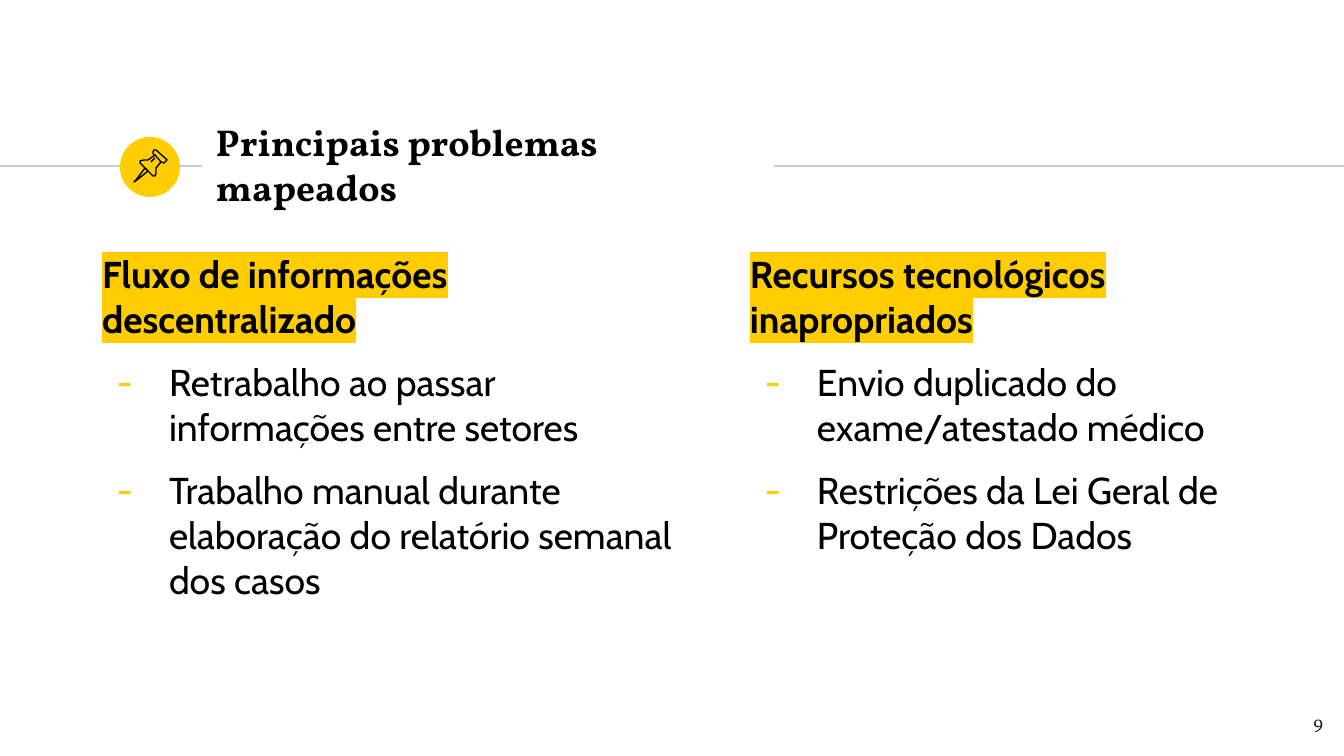
from lxml import etree
from pptx import Presentation
from pptx.dml.color import RGBColor
from pptx.enum.shapes import MSO_CONNECTOR, MSO_SHAPE
from pptx.enum.text import MSO_ANCHOR, MSO_AUTO_SIZE, PP_ALIGN
from pptx.oxml.ns import qn
from pptx.util import Emu, Pt

LINE, OVAL = MSO_CONNECTOR.STRAIGHT, MSO_SHAPE.OVAL
TOP, MID = MSO_ANCHOR.TOP, MSO_ANCHOR.MIDDLE
LEFT, RIGHT = PP_ALIGN.LEFT, PP_ALIGN.RIGHT
PX = 914400 / 134.4
INSET = 13
GOLD, BLACK, GREY, INK = "FFCD00", "000000", "CCCCCC", "1D1D1B"
rgb = RGBColor.from_string


def write(box, text, para=0, font="Cabin", size=20, color=BLACK, bold=False,
          mark=None, dash=False, align=LEFT, before=0, after=0):
    """Set paragraph number para of a box, adding it when it is new."""
    frame = box.text_frame
    p = frame.add_paragraph() if para else frame.paragraphs[0]
    p.alignment = align
    p.space_before, p.space_after = Pt(before), Pt(after)
    run = p.add_run()
    run.text = text
    run.font.name, run.font.size, run.font.bold = font, Pt(size), bold
    run.font.color.rgb = rgb(color)
    if mark:
        light = etree.Element(qn("a:highlight"))
        etree.SubElement(light, qn("a:srgbClr"), val=mark)
        run.font.fill  # the highlight must follow the fill
        run.font._element.find(qn("a:solidFill")).addnext(light)
    props = p._p.get_or_add_pPr()
    props.set("marL", str(round(67 * PX) if dash else 0))
    props.set("indent", str(round(-52 * PX) if dash else 0))
    if dash:
        tint = etree.SubElement(props, qn("a:buClr"))
        etree.SubElement(tint, qn("a:srgbClr"), val=GOLD)
        etree.SubElement(props, qn("a:buFont"), typeface=font)
        etree.SubElement(props, qn("a:buChar"), char="-")
    else:
        etree.SubElement(props, qn("a:buNone"))


def place(box, x, y, w, h, anchor=TOP):
    """Move a text shape and set its frame."""
    box.left, box.top = Emu(round(x * PX)), Emu(round(y * PX))
    box.width, box.height = Emu(round(w * PX)), Emu(round(h * PX))
    frame = box.text_frame
    frame.word_wrap, frame.auto_size = True, MSO_AUTO_SIZE.NONE
    frame.vertical_anchor = anchor
    frame.margin_left = frame.margin_right = Emu(round(INSET * PX))
    frame.margin_top = frame.margin_bottom = Emu(round(INSET * PX))


deck = Presentation()
deck.slide_width, deck.slide_height = Emu(round(1344 * PX)), Emu(round(756 * PX))
slide = deck.slides.add_slide(deck.slide_layouts[3])
shapes = slide.shapes

# Rule on both sides of the title
for start, end in [(0, 202), (774, 1344)]:
    x1, x2, y = (Emu(round(n * PX)) for n in (start, end, 166))
    rule = shapes.add_connector(LINE, x1, y, x2, y)
    rule.line.color.rgb, rule.line.width = rgb(GREY), Pt(0.75)
    etree.SubElement(rule._element.spPr, qn("a:effectLst"))

# Pin in a disc
disc = shapes.add_shape(OVAL, *(Emu(round(n * PX)) for n in (120, 137, 60, 60)))
disc.shadow.inherit = False
disc.fill.solid()
disc.fill.fore_color.rgb = rgb(GOLD)
disc.line.fill.background()

needle = [(145, 168), (136, 180), (134, 182), (137, 180), (148, 171)]
cap = [(155, 155), (161, 162), (164, 163), (167, 160), (166, 159),
       (156, 150), (154, 150), (153, 152), (153, 154)]
body = [(155, 155), (148, 160), (144, 160), (140, 161), (140, 163), (153, 176),
        (155, 176), (156, 173), (156, 168), (161, 162)]
shine = [(151, 162), (155, 158)]
for points, closed in [(needle, True), (cap, True), (body, False), (shine, False)]:
    pen = shapes.build_freeform(*points[0], scale=PX)
    pen.add_line_segments(points[1:], close=closed)
    part = pen.convert_to_shape()
    part.shadow.inherit = False
    part.fill.background()
    part.line.color.rgb, part.line.width = rgb(BLACK), Pt(0.75)

title, *lists = slide.placeholders
place(title, 203, 132, 589, 64, MID)
write(title, "Principais problemas mapeados", font="Vollkorn", bold=True)

columns = [
    (89, 618, "Fluxo de informações descentralizado",
     ["Retrabalho ao passar informações entre setores",
      "Trabalho manual durante elaboração do relatório semanal dos casos"]),
    (737, 504, "Recursos tecnológicos inapropriados",
     ["Envio duplicado do exame/atestado médico",
      "Restrições da Lei Geral de Proteção dos Dados"]),
]
for box, (x, w, head, items) in zip(lists, columns):
    place(box, x, 238, w, 474)
    write(box, head, bold=True, mark=GOLD, before=6)
    for i, item in enumerate(items, 1):
        write(box, item, para=i, dash=True, before=10,
              after=10 if i == len(items) else 0)

page = shapes.add_textbox(0, 0, 0, 0)
place(page, 1255, 698, 81, 58)
write(page, "9", font="Vollkorn", size=10, color=INK, align=RIGHT)

deck.save("out.pptx")
